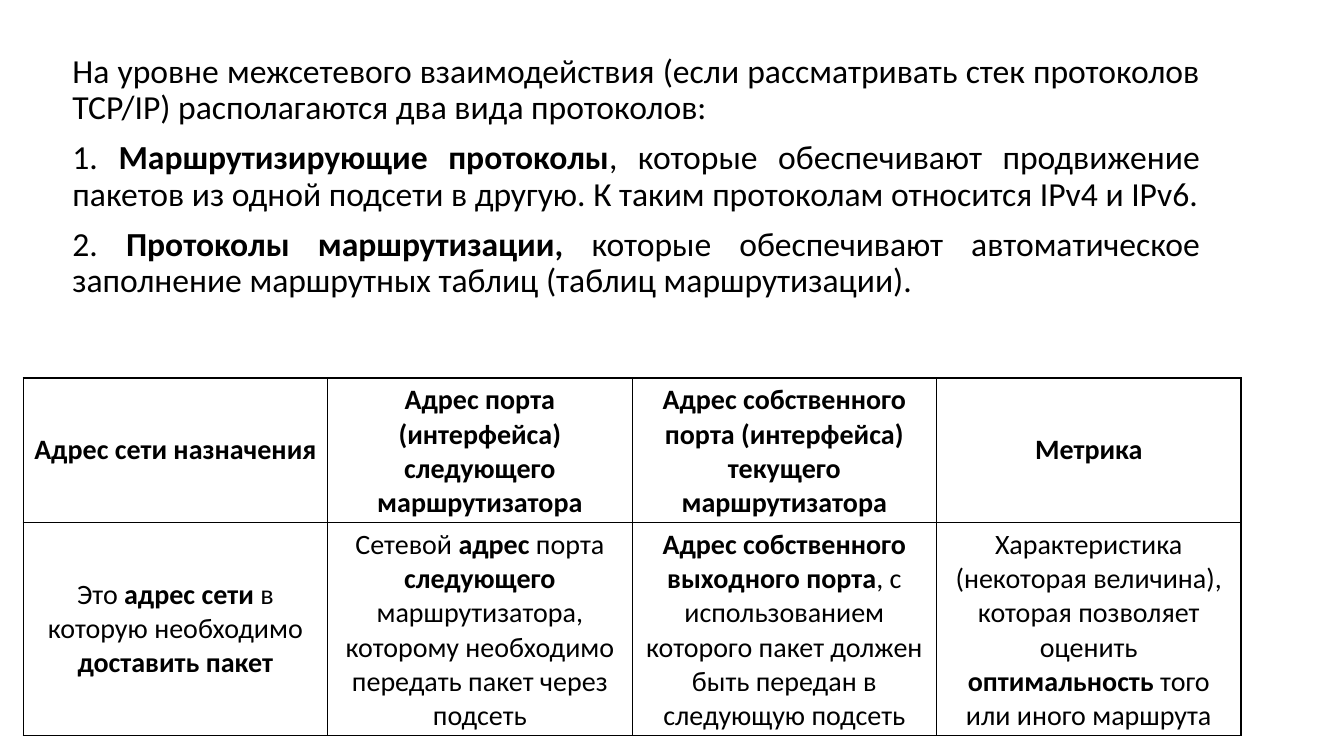
from lxml import etree
from pptx import Presentation
from pptx.dml.color import RGBColor
from pptx.enum.text import MSO_ANCHOR, PP_ALIGN
from pptx.oxml.ns import qn
from pptx.util import Inches, Pt

BLACK = RGBColor(0x00, 0x00, 0x00)
FONT = "Calibri"
CENTER = PP_ALIGN.CENTER
JUSTIFY = PP_ALIGN.JUSTIFY
MIDDLE = MSO_ANCHOR.MIDDLE
BORDER_SIDES = ("a:lnL", "a:lnR", "a:lnT", "a:lnB")
COLUMN_WIDTH = 3.02
ROW_HEIGHTS = (1.42, 2.11)

PROTOCOLS = (
    "На уровне межсетевого взаимодействия (если рассматривать стек протоколов TCP/IP) "
    "располагаются два вида протоколов:",
    "1. **Маршрутизирующие протоколы**, которые обеспечивают продвижение пакетов "
    "из одной подсети в другую. К таким протоколам относится IPv4 и IPv6.",
    "2. **Протоколы маршрутизации, **которые обеспечивают автоматическое заполнение "
    "маршрутных таблиц (таблиц маршрутизации).",
)
ROUTING_TABLE = (
    (
        "**Адрес сети назначения**",
        "**Адрес порта (интерфейса) следующего маршрутизатора**",
        "**Адрес собственного порта (интерфейса) текущего маршрутизатора**",
        "**Метрика**",
    ),
    (
        "Это **адрес сети **в которую необходимо **доставить пакет**",
        "Сетевой **адрес **порта **следующего **маршрутизатора, "
        "которому необходимо передать пакет через подсеть",
        "**Адрес собственного выходного порта**, с использованием "
        "которого пакет должен быть передан в следующую подсеть",
        "Характеристика (некоторая величина), которая позволяет оценить "
        "**оптимальность** того или иного маршрута",
    ),
)


def write_runs(paragraph, marked_text, size, alignment):
    """Fill a paragraph, making the parts between double asterisks bold."""
    paragraph.alignment = alignment
    for index, part in enumerate(marked_text.split("**")):
        if part:
            run = paragraph.add_run()
            run.text = part
            run.font.name = FONT
            run.font.size = Pt(size)
            run.font.bold = index % 2 == 1
            run.font.color.rgb = BLACK


def add_protocol_text(slide):
    """Add the justified introduction to the two kinds of protocol."""
    text_box = slide.shapes.add_textbox(Inches(0.62), Inches(0.49), Inches(11.38), Inches(2.6))
    text_frame = text_box.text_frame
    text_frame.word_wrap = True
    for index, marked_text in enumerate(PROTOCOLS):
        paragraph = text_frame.add_paragraph() if index else text_frame.paragraphs[0]
        paragraph.line_spacing = 0.9
        paragraph.space_before = Pt(10)
        write_runs(paragraph, marked_text, 24, JUSTIFY)


def set_borders(cell):
    """Draw a thin black line on every side of a cell."""
    properties = cell._tc.get_or_add_tcPr()
    for index, side in enumerate(BORDER_SIDES):
        line = etree.Element(qn(side), w=str(Pt(1)))
        fill = etree.SubElement(line, qn("a:solidFill"))
        etree.SubElement(fill, qn("a:srgbClr"), val=str(BLACK))
        properties.insert(index, line)


def add_routing_table(slide):
    """Add the table that explains the fields of a routing table."""
    column_count = len(ROUTING_TABLE[0])
    table = slide.shapes.add_table(
        len(ROUTING_TABLE), column_count, Inches(0.23), Inches(3.75),
        Inches(COLUMN_WIDTH * column_count), Inches(sum(ROW_HEIGHTS)),
    ).table
    table.first_row = False
    table.horz_banding = False
    for column in table.columns:
        column.width = Inches(COLUMN_WIDTH)
    for row, height, marked_texts in zip(table.rows, ROW_HEIGHTS, ROUTING_TABLE):
        row.height = Inches(height)
        for cell, marked_text in zip(row.cells, marked_texts):
            cell.fill.background()
            cell.vertical_anchor = MIDDLE
            set_borders(cell)
            write_runs(cell.text_frame.paragraphs[0], marked_text, 20, CENTER)


def main():
    """Build and save the slide about routing protocols."""
    presentation = Presentation()
    presentation.slide_width = Inches(13.33)
    presentation.slide_height = Inches(7.5)
    slide = presentation.slides.add_slide(presentation.slide_layouts[6])
    add_protocol_text(slide)
    add_routing_table(slide)
    presentation.save("out.pptx")


if __name__ == "__main__":
    main()
